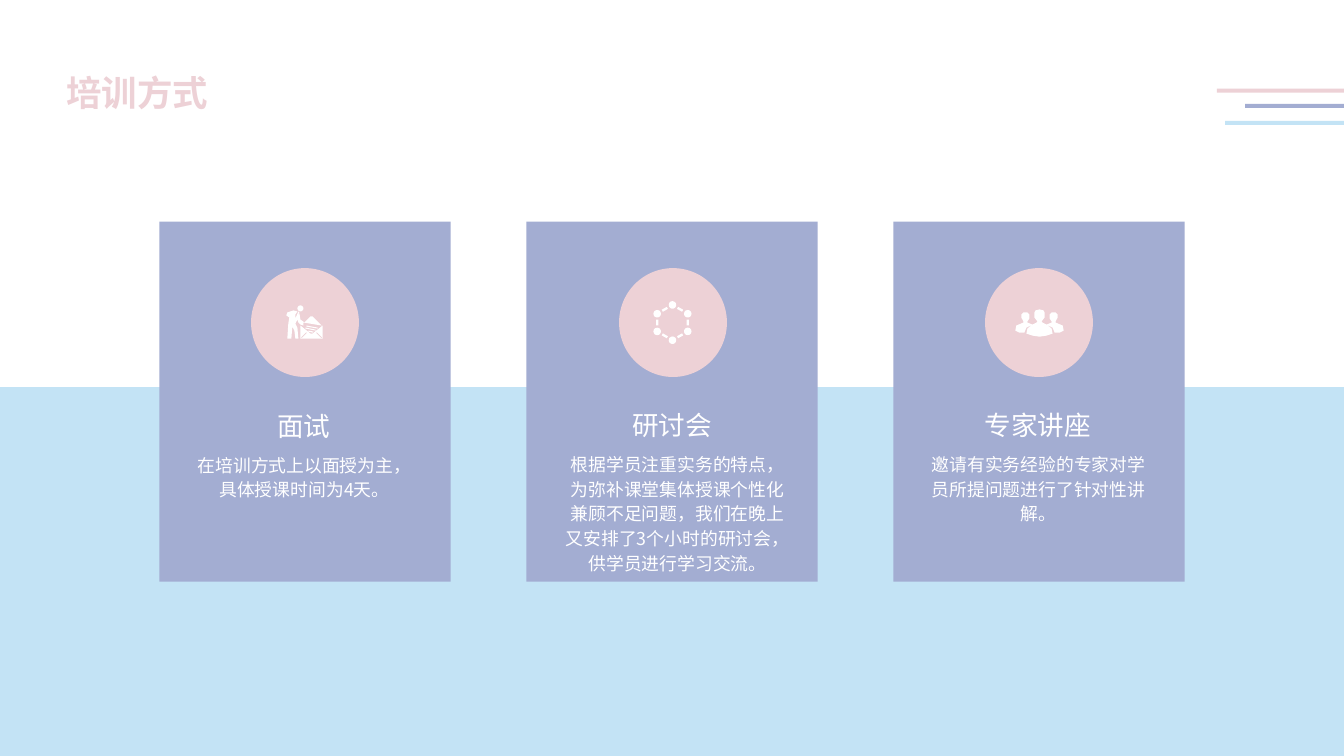
"""Build the training methods slide: three cards over a light blue band."""
from dataclasses import dataclass
from math import cos, radians, sin
from typing import Callable

from pptx import Presentation
from pptx.dml.color import RGBColor as RGB
from pptx.enum.shapes import MSO_CONNECTOR as LINE, MSO_SHAPE as SHAPE
from pptx.enum.text import MSO_ANCHOR as ANCHOR, PP_ALIGN as ALIGN
from pptx.oxml.ns import qn
from pptx.slide import Slide
from pptx.util import Inches, Pt

COLORS = {"pink": "EDD1D6", "lilac": "A3ADD2", "sky": "C3E3F5", "white": "FFFFFF"}
FONT = "Noto Sans CJK SC"
WIDTH, HEIGHT = 13.33, 7.5
CARD_LEFT, CARD_STEP = 1.58, 3.64
ICON_Y = 3.2
Points = list[tuple[float, float]]

WORKER: Points = [
    (-17, -10), (-11, -12), (-7, -11), (-9, -8), (-9, -4), (-6, -11), (-5, -10), (-8, -5),
    (-5, -9), (-4, -3), (0, 0), (6, -6), (8, -6), (17, 3), (-1, 0), (-1, 3), (-4, 2), (-6, 0),
    (-7, -3), (-9, 1), (-7, 5), (-6, 16), (-9, 16), (-10, 8), (-12, 4), (-13, 16), (-17, 16),
    (-16, 1), (-15, -5), (-18, -7),
]
ENVELOPE: Points = [(-4, 3), (6, 11), (8, 11), (18, 3), (18, 16), (-4, 16)]
LETTER: list[Points] = [
    [(2, 3), (13, 5), (13, 6), (2, 4)],
    [(1, 5), (11, 7), (11, 8), (1, 6)],
    [(4, 8), (9, 9), (8, 10), (4, 9)],
]
LEADER_HALF: Points = [
    (0, -13), (4, -12), (5, -10), (5, -5), (2, -1), (3, 0), (7, 2), (12, 6), (13, 11), (7, 13),
    (0, 14),
]
MEMBER: Points = [
    (7, 2), (12, 0), (12, -1), (10, -4), (10, -8), (12, -10), (16, -10), (18, -8), (18, -5),
    (16, -1), (16, 0), (23, 3), (24, 8), (20, 10), (15, 10), (13, 5),
]


@dataclass
class Bar:
    left: float
    top: float
    height: float
    color: str


@dataclass
class Card:
    text_left: float
    title_top: float
    title: str
    body_top: float
    body_width: float
    body_height: float
    body: str
    icon: Callable[[Slide, float], None]


def add_shape(s: Slide, kind: SHAPE, left: float, top: float, width: float, height: float,
              color: str) -> None:
    sp = s.shapes.add_shape(kind, Inches(left), Inches(top), Inches(width), Inches(height))
    paint(sp, color)


def paint(sp, color: str) -> None:
    sp.shadow.inherit = False
    sp.fill.solid()
    sp.fill.fore_color.rgb = RGB.from_string(COLORS[color])
    sp.line.fill.background()


def add_outline(s: Slide, x: float, contours: list[Points]) -> None:
    parts = [[(round(px * 10), round(py * 10)) for px, py in c] for c in contours]
    fb = s.shapes.build_freeform(*parts[0][0], scale=Inches(0.01) / 10)
    fb.add_line_segments(parts[0][1:])
    for part in parts[1:]:
        fb.move_to(*part[0])
        fb.add_line_segments(part[1:])
    paint(fb.convert_to_shape(Inches(x), Inches(ICON_Y)), "white")


def add_line(s: Slide, x1: float, y1: float, x2: float, y2: float, color: str,
             weight: float) -> None:
    c = s.shapes.add_connector(LINE.STRAIGHT, Inches(x1), Inches(y1), Inches(x2), Inches(y2))
    c.line.color.rgb = RGB.from_string(COLORS[color])
    c.line.width = Pt(weight)
    sp_pr = c._element.spPr
    sp_pr.append(sp_pr.makeelement(qn("a:effectLst"), {}))


def add_text(s: Slide, text: str, left: float, top: float, width: float, height: float,
             size: float, color: str = "white", bold: bool = False,
             align: ALIGN = ALIGN.CENTER) -> None:
    tb = s.shapes.add_textbox(Inches(left), Inches(top), Inches(width), Inches(height))
    tf = tb.text_frame
    tf.word_wrap = True
    tf.vertical_anchor = ANCHOR.MIDDLE
    tf.margin_left = tf.margin_top = tf.margin_right = tf.margin_bottom = 0
    p = tf.paragraphs[0]
    r = p.add_run()
    r.text = text
    p.alignment = align
    p.line_spacing = 1.16
    font = r.font
    font.name, font.size, font.bold = FONT, Pt(size), bold
    font.color.rgb = RGB.from_string(COLORS[color])
    r_pr = r._r.get_or_add_rPr()
    r_pr.find(qn("a:latin")).addnext(r_pr.makeelement(qn("a:ea"), {"typeface": FONT}))


def draw_interview(s: Slide, x: float) -> None:
    add_outline(s, x, [WORKER, ENVELOPE, *LETTER])
    add_shape(s, SHAPE.OVAL, x - 0.07, 3.03, 0.06, 0.06, "white")
    for start, end in ((0.02, -0.03), (0.12, 0.17)):
        add_line(s, x + start, 3.3, x + end, 3.35, "pink", 0.5)


def draw_network(s: Slide, x: float) -> None:
    def ring(cx: float, cy: float, radius: float, count: int) -> Points:
        angles = [radians(360 * i / count) for i in range(count)]
        return [(cx + radius * sin(a), cy - radius * cos(a)) for a in angles]

    nodes = ring(0, 0, 17.5, 6)
    dots = [ring(px, py, 3.7, 24) for px, py in nodes]
    dashes = []
    for (x1, y1), (x2, y2) in zip(nodes, nodes[1:] + nodes[:1]):
        dx, dy = (x2 - x1) / 3, (y2 - y1) / 3
        nx, ny = -dy / 5, dx / 5
        ax, ay, bx, by = x1 + dx, y1 + dy, x2 - dx, y2 - dy
        dashes.append([(ax + nx, ay + ny), (bx + nx, by + ny),
                       (bx - nx, by - ny), (ax - nx, ay - ny)])
    add_outline(s, x, dots + dashes)


def draw_audience(s: Slide, x: float) -> None:
    def mirror(points: Points) -> Points:
        return [(-px, py) for px, py in reversed(points)]

    add_outline(s, x + 0.01, [LEADER_HALF + mirror(LEADER_HALF)[1:-1], MEMBER, mirror(MEMBER)])


BARS = [
    Bar(12.07, 0.88, 0.04, "pink"),
    Bar(12.35, 1.03, 0.04, "lilac"),
    Bar(12.15, 1.2, 0.04, "sky"),
    Bar(0, 3.84, HEIGHT - 3.84, "sky"),
]
CARDS = [
    Card(1.82, 4.02, "面试", 4.48, 2.12, 0.48,
         "在培训方式上以面授为主，具体授课时间为4天。", draw_interview),
    Card(5.47, 4.01, "研讨会", 4.47, 2.22, 1.22,
         "根据学员注重实务的特点，为弥补课堂集体授课个性化兼顾不足问题，"
         "我们在晚上又安排了3个小时的研讨会，供学员进行学习交流。", draw_network),
    Card(9.1, 4.01, "专家讲座", 4.47, 2.12, 0.73,
         "邀请有实务经验的专家对学员所提问题进行了针对性讲解。", draw_audience),
]


def add_card(s: Slide, left: float, card: Card) -> None:
    add_shape(s, SHAPE.RECTANGLE, left, 2.2, 2.89, 3.57, "lilac")
    add_text(s, card.title, card.text_left, card.title_top, 2.39, 0.35, 19)
    add_text(s, card.body, card.text_left + 0.14, card.body_top, card.body_width,
             card.body_height, 12.7)
    add_shape(s, SHAPE.OVAL, card.text_left + 0.67, 2.66, 1.07, 1.08, "pink")
    card.icon(s, card.text_left + 1.2)


prs = Presentation()
prs.slide_width, prs.slide_height = Inches(WIDTH), Inches(HEIGHT)
s = prs.slides.add_slide(prs.slide_layouts[6])
for bar in BARS:
    add_shape(s, SHAPE.RECTANGLE, bar.left, bar.top, WIDTH - bar.left, bar.height, bar.color)
add_text(s, "培训方式", 0.66, 0.65, 5.34, 0.46, 25.3, "pink", True, ALIGN.LEFT)
for i, card in enumerate(CARDS):
    add_card(s, CARD_LEFT + i * CARD_STEP, card)
prs.save("out.pptx")
